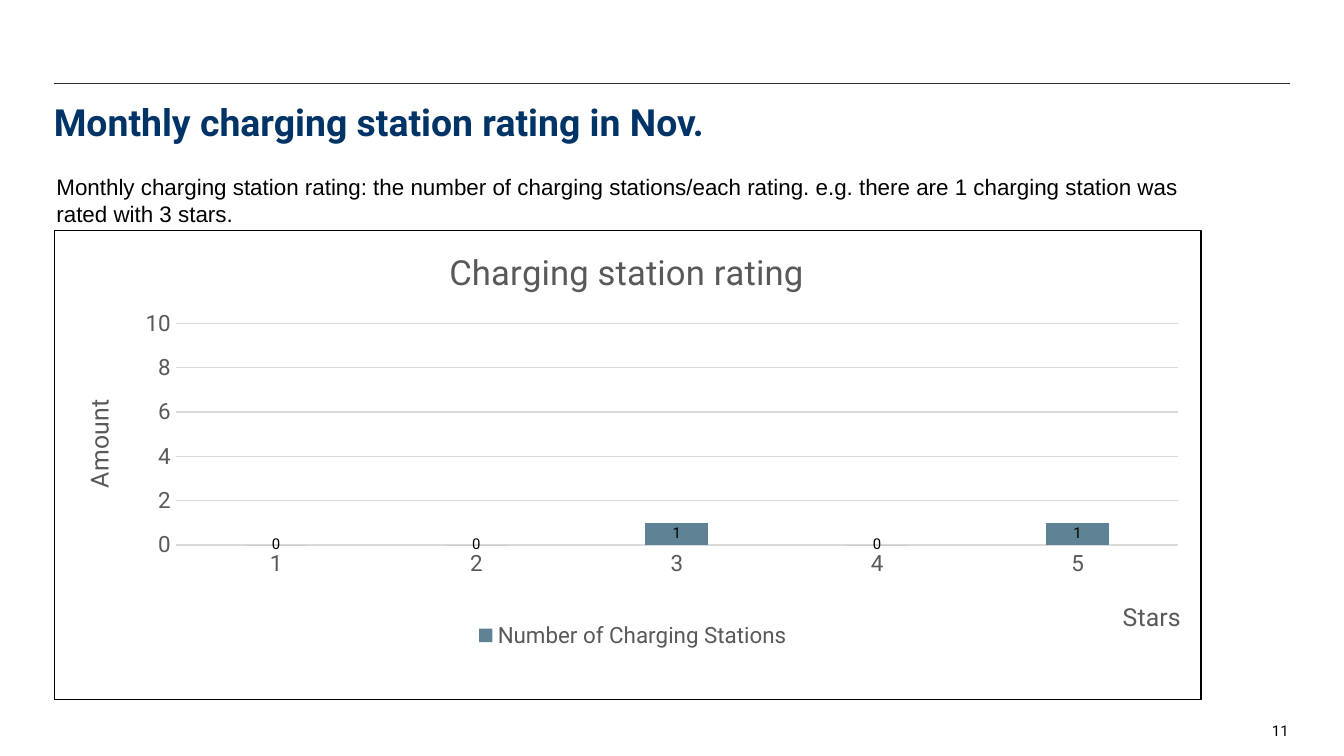
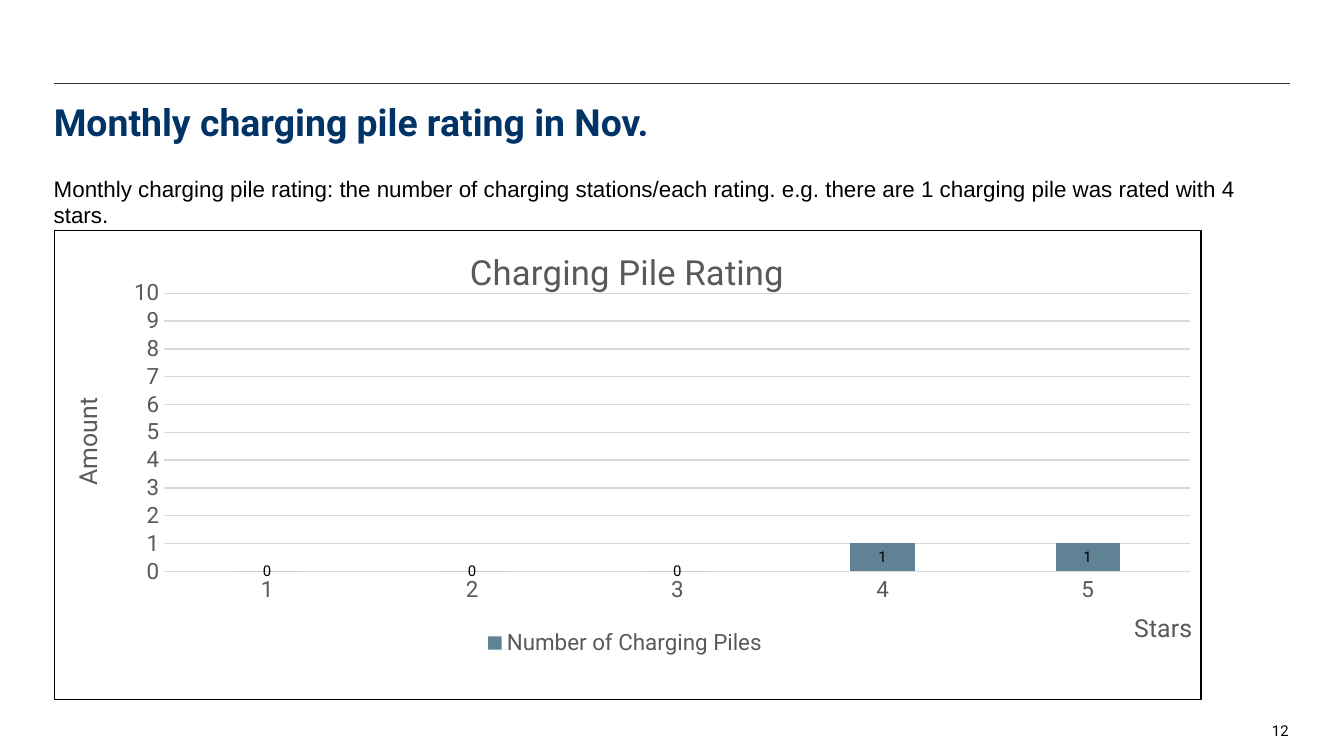
"""Build the two monthly rating slides, each with a column chart."""
from dataclasses import dataclass

from lxml.etree import SubElement
from pptx import Presentation
from pptx.chart.data import CategoryChartData
from pptx.dml.color import RGBColor
from pptx.enum.chart import (XL_CHART_TYPE, XL_LABEL_POSITION,
                             XL_LEGEND_POSITION, XL_TICK_MARK)
from pptx.enum.shapes import MSO_CONNECTOR
from pptx.enum.text import MSO_ANCHOR, MSO_AUTO_SIZE, PP_ALIGN
from pptx.oxml import parse_xml
from pptx.oxml.ns import nsdecls, qn
from pptx.util import Inches, Pt

COLORS = {"rule": "333333", "title": "003366", "text": "000000",
          "label": "595959", "grid": "D9D9D9", "bar": "5F8294"}
HEAD, BODY = "Roboto", "Arial"
FRAME = {"margin_left": 0, "margin_top": 0, "margin_right": 0,
         "margin_bottom": 0, "word_wrap": True,
         "auto_size": MSO_AUTO_SIZE.NONE}
LEFT = 0.4


@dataclass(frozen=True)
class Layout:
    """Positions inside a chart, as fractions of its size."""
    plot: tuple
    title: tuple
    amount: tuple
    stars: tuple
    legend: tuple


@dataclass(frozen=True)
class RatingSlide:
    """Content of one rating slide."""
    number: int
    title: str
    note: str
    note_box: tuple
    anchor: MSO_ANCHOR
    chart_title: str
    series: str
    values: tuple
    unit: int
    layout: Layout


SLIDES = [
    RatingSlide(
        11, "Monthly charging station rating in Nov.",
        "Monthly charging station rating: the number of charging stations/each "
        "rating. e.g. there are 1 charging station was rated with 3 stars. ",
        (0.42, 1.27, 8.6, 0.44), MSO_ANCHOR.MIDDLE,
        "Charging station rating", "Number of Charging Stations",
        (0, 0, 1, 0, 1), 2,
        Layout((0.106, 0.198, 0.874, 0.473), (0.339, 0.027), (0.02, 0.351),
               (0.928, 0.777), (0.364, 0.824))),
    RatingSlide(
        12, "Monthly charging pile rating in Nov.",
        "Monthly charging pile rating: the number of charging stations/each "
        "rating. e.g. there are 1 charging pile was rated with 4 stars.",
        (LEFT, 1.3, 9.06, 0.2), MSO_ANCHOR.TOP,
        "Charging Pile Rating", "Number of Charging Piles",
        (0, 0, 0, 1, 1), 1,
        Layout((0.096, 0.134, 0.895, 0.593), (0.357, 0.027), (0.01, 0.346),
               (0.938, 0.802), (0.372, 0.84))),
]


def apply(obj, values: dict) -> None:
    """Set each attribute named in values."""
    for name, value in values.items():
        setattr(obj, name, value)


def style_font(font, size: float, color: str, name: str = HEAD,
               bold: bool = False) -> None:
    """Give a font its face, size, weight and colour."""
    apply(font, {"name": name, "size": Pt(size), "bold": bold})
    font.color.rgb = RGBColor.from_string(COLORS[color])


def style_line(line, color: str, width: float = 0.75) -> None:
    """Give a line its colour and width."""
    line.color.rgb = RGBColor.from_string(COLORS[color])
    line.width = Pt(width)


def write(sp, text: str, size: float, color: str, name: str = HEAD,
          bold: bool = False, anchor: MSO_ANCHOR = MSO_ANCHOR.TOP,
          align: PP_ALIGN = PP_ALIGN.LEFT) -> None:
    """Fill a shape with one formatted paragraph."""
    tf = sp.text_frame
    apply(tf, {**FRAME, "vertical_anchor": anchor})
    p = tf.paragraphs[0]
    p.alignment = align
    r = p.add_run()
    r.text = text
    style_font(r.font, size, color, name, bold)


def place(element, box: tuple) -> None:
    """Set the manual layout of a chart element."""
    for old in element.findall(qn("c:layout")):
        element.remove(old)
    layout = parse_xml(f"<c:layout {nsdecls('c')}/>")
    manual = SubElement(layout, qn("c:manualLayout"))
    inner = len(box) == 4
    if inner:
        SubElement(manual, qn("c:layoutTarget")).set("val", "inner")
    for key in ("xMode", "yMode"):
        SubElement(manual, qn(f"c:{key}")).set("val", "edge")
    for key, value in zip("xywh", box):
        SubElement(manual, qn(f"c:{key}")).set("val", str(value))
    element.insert(0 if inner else 1, layout)


def set_title(title, text: str, size: float, box: tuple,
              rotation: int = 0) -> None:
    """Write and place a chart or axis title."""
    p = title.text_frame.paragraphs[0]
    r = p.add_run()
    r.text = text
    style_font(r.font, size, "label")
    for body in title.element.iter(qn("a:bodyPr")):
        body.set("rot", str(rotation * 60000))
        body.set("vert", "horz")
    place(title.element, box)


def add_rating_chart(s, item: RatingSlide) -> None:
    """Add the stacked column chart of ratings."""
    data = CategoryChartData()
    data.categories = [str(star) for star in range(1, 6)]
    data.add_series(item.series, item.values)
    chart = s.shapes.add_chart(
        XL_CHART_TYPE.COLUMN_STACKED, Inches(LEFT), Inches(1.71),
        Inches(8.54), Inches(3.5), data).chart
    style_font(chart.font, 10, "text")
    set_title(chart.chart_title, item.chart_title, 18.6, item.layout.title)

    value, category = chart.value_axis, chart.category_axis
    for axis in (value, category):
        apply(axis, {"major_tick_mark": XL_TICK_MARK.NONE,
                     "minor_tick_mark": XL_TICK_MARK.NONE})
        style_font(axis.tick_labels.font, 12, "label")
    apply(value, {"minimum_scale": 0, "maximum_scale": 10,
                  "major_unit": item.unit, "has_major_gridlines": True})
    style_line(value.major_gridlines.format.line, "grid")
    value.format.line.fill.background()
    style_line(category.format.line, "grid")
    set_title(value.axis_title, "Amount", 13.3, item.layout.amount, -90)
    set_title(category.axis_title, "Stars", 13.3, item.layout.stars)

    plot = chart.plots[0]
    apply(plot, {"gap_width": 219, "overlap": 100,
                 "vary_by_categories": False})
    series = plot.series[0]
    fill = series.format.fill
    fill.solid()
    fill.fore_color.rgb = RGBColor.from_string(COLORS["bar"])
    apply(series.data_labels, {"show_value": True,
                               "position": XL_LABEL_POSITION.CENTER})
    style_font(series.data_labels.font, 8, "text")

    chart.has_legend = True
    apply(chart.legend, {"position": XL_LEGEND_POSITION.BOTTOM,
                         "include_in_layout": False})
    style_font(chart.legend.font, 12, "label")
    root = chart.element.find(qn("c:chart"))
    place(root.find(qn("c:legend")), item.layout.legend)
    place(root.find(qn("c:plotArea")), item.layout.plot)
    root.addnext(parse_xml(
        f'<c:spPr {nsdecls("c", "a")}><a:noFill/><a:ln w="{Pt(0.75)}">'
        f'<a:solidFill><a:srgbClr val="{COLORS["text"]}"/></a:solidFill>'
        '</a:ln></c:spPr>'))


def add_text(s, box: tuple, text: str, size: float, **style) -> None:
    """Add a text box with one paragraph."""
    sp = s.shapes.add_textbox(*map(Inches, box))
    write(sp, text, size, "text", **style)


def add_rating_slide(prs, item: RatingSlide) -> None:
    """Add one slide with rule, title, number, chart and note."""
    s = prs.slides.add_slide(prs.slide_layouts[5])
    rule = s.shapes.add_connector(
        MSO_CONNECTOR.STRAIGHT, Inches(LEFT), Inches(0.62),
        Inches(9.6), Inches(0.62))
    style_line(rule.line, "rule")
    SubElement(rule.element.spPr, qn("a:effectLst"))
    title = s.shapes.title
    apply(title, {"left": Inches(LEFT), "top": Inches(0.74),
                  "width": Inches(9.2), "height": Inches(0.56)})
    write(title, item.title, 20, "title", bold=True)
    add_text(s, (8.85, 5.37, 0.74, 0.15), str(item.number), 8,
             align=PP_ALIGN.RIGHT)
    add_rating_chart(s, item)
    add_text(s, item.note_box, item.note, 12, name=BODY, anchor=item.anchor)


def main() -> None:
    """Build and save the presentation."""
    prs = Presentation()
    width = Inches(10)
    apply(prs, {"slide_width": width, "slide_height": width * 9 // 16})
    for item in SLIDES:
        add_rating_slide(prs, item)
    prs.save("out.pptx")


main()
